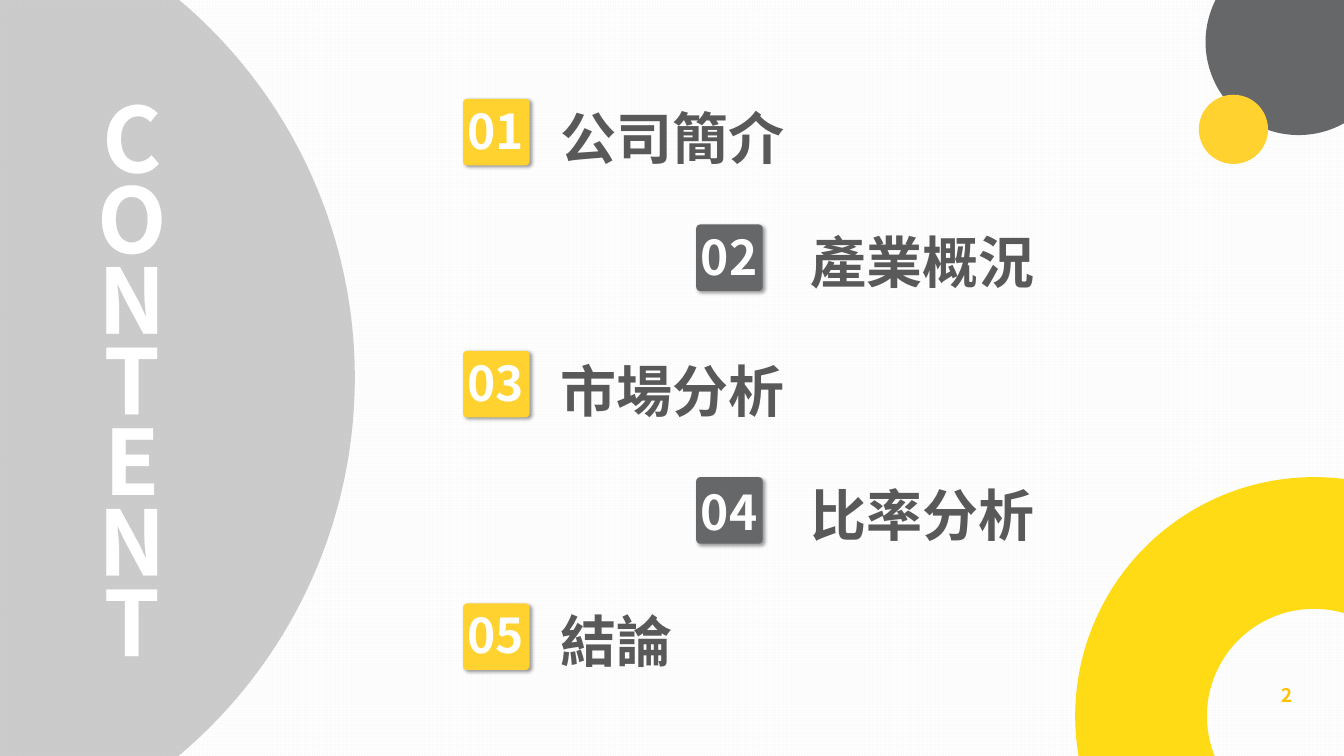
from dataclasses import dataclass

from lxml import etree
from pptx import Presentation
from pptx.dml.color import RGBColor
from pptx.enum.dml import MSO_PATTERN
from pptx.enum.shapes import MSO_SHAPE
from pptx.enum.text import MSO_ANCHOR, MSO_AUTO_SIZE, PP_ALIGN
from pptx.oxml.ns import qn
from pptx.util import Pt

LEFT, CENTER, RIGHT = PP_ALIGN.LEFT, PP_ALIGN.CENTER, PP_ALIGN.RIGHT
TOP, MIDDLE = MSO_ANCHOR.TOP, MSO_ANCHOR.MIDDLE
OVAL, DONUT, ROUNDED = MSO_SHAPE.OVAL, MSO_SHAPE.DONUT, MSO_SHAPE.ROUNDED_RECTANGLE
NO_AUTOFIT = MSO_AUTO_SIZE.NONE
LARGE_GRID = MSO_PATTERN.LARGE_GRID


@dataclass(frozen=True)
class Theme:
    font: str = "Noto Sans CJK SC"
    white: str = "FFFFFF"
    grid: str = "FBFBFB"
    sun: str = "FFDB15"
    yellow: str = "FFD230"
    amber: str = "FFC000"
    gray: str = "666769"
    ink: str = "595959"
    black: str = "000000"
    banner_size: float = 96
    banner_leading: float = 86.4
    heading_size: float = 60
    heading_leading: float = 88.8
    number_size: float = 51.3
    page_size: float = 20


THEME = Theme()
PX = 9144
SLIDE = (2000, 1125)

BANNER = "CONTENT"
PAGE = "2"
CHAPTERS = [
    ("01", "公司簡介", 19, -16),
    ("02", "產業概況", 19, -19),
    ("03", "市場分析", 19, -15),
    ("04", "比率分析", 23, -18),
    ("05", "結論", 18, -19),
]
COLUMNS = [
    {"badge": 689, "heading": 834, "fill": THEME.yellow},
    {"badge": 1036, "heading": 1206, "fill": THEME.gray},
]
FIRST_TOP, LAST_TOP = 147, 898
BADGE, CORNER = 99, 6
NUMBER_WIDTH, NUMBER_HEIGHT = 110, 72
HEADING_WIDTH, HEADING_HEIGHT = 777, 117
RING, RING_WIDTH = 711, 196


def rgb(color):
    return RGBColor.from_string(color)


def place(shape, box):
    shape.left, shape.top, shape.width, shape.height = (v * PX for v in box)


def add_color(parent, color, alpha=None):
    node = etree.SubElement(parent, qn("a:srgbClr"), val=color)
    if alpha is not None:
        etree.SubElement(node, qn("a:alpha"), val=str(alpha * 1000))


def add_figure(slide, kind, box, color, alpha=None, adjust=None, shadow=False):
    figure = slide.shapes.add_shape(kind, *(v * PX for v in box))
    figure.shadow.inherit = False
    figure.fill.solid()
    figure.fill.fore_color.rgb = rgb(color)
    figure.line.fill.background()
    properties = figure._element.spPr
    if alpha is not None:
        fill = properties.find(qn("a:solidFill"))
        fill.clear()
        add_color(fill, color, alpha)
    if adjust is not None:
        figure.adjustments[0] = adjust
    if shadow:
        effect = etree.SubElement(
            properties.find(qn("a:effectLst")), qn("a:outerShdw"),
            blurRad=str(Pt(4)), dist=str(Pt(3)), dir=str(45 * 60000),
            algn="tl", rotWithShape="0")
        add_color(effect, THEME.black, 40)


def write(shape, text, *, size, color, align=LEFT, anchor=TOP, leading=None,
          outline=None, inset=(0, 0)):
    frame = shape.text_frame
    frame.text = text
    frame.word_wrap = True
    frame.auto_size = NO_AUTOFIT
    frame.vertical_anchor = anchor
    frame.margin_left = frame.margin_right = inset[0] * PX
    frame.margin_top = frame.margin_bottom = inset[1] * PX
    for paragraph in frame.paragraphs:
        paragraph.alignment = align
        if leading:
            paragraph.line_spacing = Pt(leading)
        for run in paragraph.runs:
            font = run.font
            font.size, font.bold, font.name = Pt(size), True, THEME.font
            font.color.rgb = rgb(color)
            properties = run._r.get_or_add_rPr()
            etree.SubElement(properties, qn("a:ea"), typeface=THEME.font)
            if outline:
                line = etree.Element(qn("a:ln"), w=str(Pt(0.75)))
                add_color(etree.SubElement(line, qn("a:solidFill")), outline)
                properties.insert(0, line)


def add_text(slide, box, text, **style):
    write(slide.shapes.add_textbox(*(v * PX for v in box)), text, **style)


def add_decoration(slide):
    add_figure(slide, DONUT, (1600, 710, RING, RING), THEME.sun, adjust=RING_WIDTH / RING)
    add_figure(slide, OVAL, (1794, -76, 277, 277), THEME.gray)
    add_figure(slide, OVAL, (1784, 141, 103, 103), THEME.yellow)
    add_figure(slide, OVAL, (-942, -173, 1470, 1470), THEME.ink, alpha=30)


def add_banner(slide):
    banner = slide.shapes.title
    slide.shapes._spTree.append(banner._element)
    place(banner, (142, 163, 108, 849))
    write(banner, "\n".join(BANNER), size=THEME.banner_size, color=THEME.white,
          align=CENTER, leading=THEME.banner_leading, outline=THEME.white)


def add_chapters(slide):
    for i, (number, heading, number_shift, heading_shift) in enumerate(CHAPTERS):
        column = COLUMNS[i % len(COLUMNS)]
        top = FIRST_TOP + (LAST_TOP - FIRST_TOP) * i // (len(CHAPTERS) - 1)
        left = column["badge"]
        add_figure(slide, ROUNDED, (left, top, BADGE, BADGE), column["fill"],
                   adjust=CORNER / BADGE, shadow=True)
        number_left = left + (BADGE - NUMBER_WIDTH) // 2
        add_text(slide, (number_left, top + number_shift, NUMBER_WIDTH, NUMBER_HEIGHT),
                 number, size=THEME.number_size, color=THEME.white, align=CENTER,
                 leading=THEME.number_size)
        add_text(slide, (column["heading"], top + heading_shift, HEADING_WIDTH, HEADING_HEIGHT),
                 heading, size=THEME.heading_size, color=THEME.ink,
                 leading=THEME.heading_leading)


def main():
    deck = Presentation()
    deck.slide_width, deck.slide_height = (v * PX * 1 for v in SLIDE)
    slide = deck.slides.add_slide(deck.slide_layouts.get_by_name("Title Only"))
    backdrop = slide.background.fill
    backdrop.patterned()
    backdrop.pattern = LARGE_GRID
    backdrop.fore_color.rgb = rgb(THEME.grid)
    backdrop.back_color.rgb = rgb(THEME.white)
    add_decoration(slide)
    add_banner(slide)
    add_chapters(slide)
    add_text(slide, (1700, 1014, 233, 40), PAGE, size=THEME.page_size,
             color=THEME.amber, align=RIGHT, anchor=MIDDLE, inset=(10, 5))
    deck.save("out.pptx")


if __name__ == "__main__":
    main()
